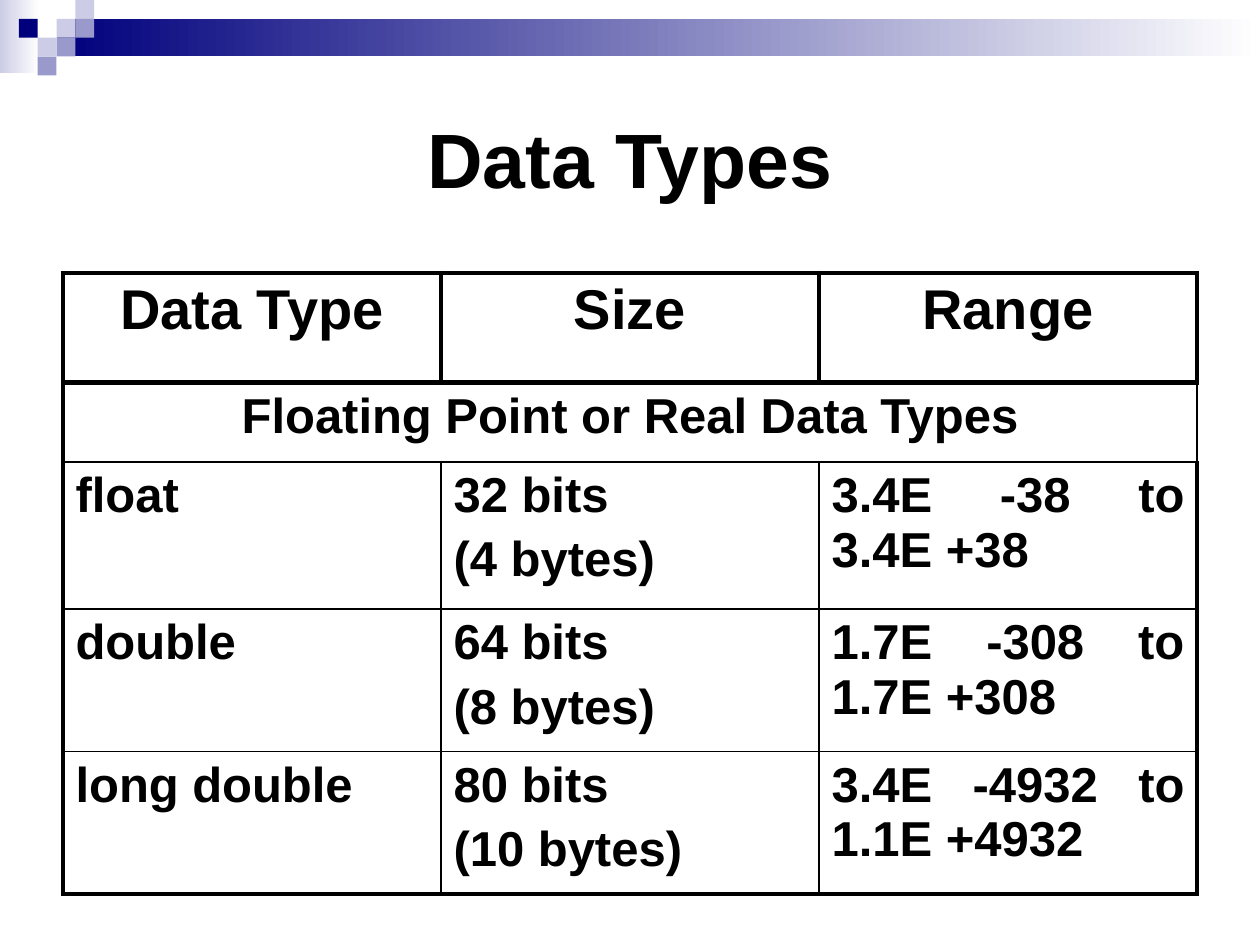
from lxml import etree
from pptx import Presentation
from pptx.dml.color import RGBColor
from pptx.enum import shapes, text
from pptx.oxml.ns import qn
from pptx.util import Cm, Pt

COLORS = {"navy": "00007D", "violet": "9999CC", "lilac": "CCCCE6",
          "white": "FFFFFF", "black": "000000"}


def style_paragraph(paragraph, size, align):
    """Align a paragraph and set its runs in bold black Arial."""
    paragraph.alignment = align
    for span in paragraph.runs:
        span.font.name = "Arial"
        span.font.size = Pt(size)
        span.font.bold = True
        span.font.color.rgb = RGBColor.from_string(COLORS["black"])


def set_border(cell, side, width):
    """Draw one side (L, R, T or B) of a cell as a solid black line."""
    line = etree.SubElement(cell._tc.get_or_add_tcPr(), qn(f"a:ln{side}"),
                            w=str(Pt(width)), cmpd="sng")
    fill = etree.SubElement(line, qn("a:solidFill"))
    etree.SubElement(fill, qn("a:srgbClr"), val=COLORS["black"])


deck = Presentation()
deck.slide_width, deck.slide_height = Cm(25.4), Cm(19.05)
page = deck.slides.add_slide(deck.slide_layouts[6])

# Header band: left, top, width, height, colours (two make a gradient)
SQUARE = 0.38
bands = [(0, 0, 0.79, 1.47, ("lilac", "white")),
         (1.14, SQUARE, 24.26, 2 * SQUARE, ("navy", "white"))]
squares = [(3, 1, "lilac"), (4, 0, "lilac"), (4, 1, "violet"), (2, 2, "lilac"),
           (1, 1, "navy"), (3, 2, "violet"), (2, 3, "violet")]
bands += [(column * SQUARE, row * SQUARE, SQUARE, SQUARE, (color,))
          for column, row, color in squares]
for left, top, width, height, colors in bands:
    band = page.shapes.add_shape(shapes.MSO_SHAPE.RECTANGLE, Cm(left), Cm(top),
                                 Cm(width), Cm(height))
    band.shadow.inherit = False
    band.line.fill.background()
    if len(colors) == 1:
        band.fill.solid()
        band.fill.fore_color.rgb = RGBColor.from_string(COLORS[colors[0]])
    else:
        band.fill.gradient()
        band.fill.gradient_angle = 0
        for stop, color in zip(band.fill.gradient_stops, colors):
            stop.color.rgb = RGBColor.from_string(COLORS[color])

title = page.shapes.add_textbox(Cm(1.27), Cm(1.27), Cm(22.86), Cm(3.81))
title.text_frame.word_wrap = True
title.text_frame.vertical_anchor = text.MSO_ANCHOR.MIDDLE
title.text_frame.text = "Data Types"
style_paragraph(title.text_frame.paragraphs[0], 44, text.PP_ALIGN.CENTER)

# Table of data types
rows = [("Data Type", "Size", "Range"),
        ("Floating Point or Real Data Types", "", ""),
        ("float", "32 bits\n(4 bytes)", "3.4E -38 to 3.4E +38"),
        ("double", "64 bits\n(8 bytes)", "1.7E -308 to 1.7E +308"),
        ("long double", "80 bits\n(10 bytes)", "3.4E -4932 to 1.1E +4932")]
heights = [2.21, 1.6, 2.97, 2.87, 2.87]
THIN, OUTER, THICK = 1, 2.25, 3

table = page.shapes.add_table(len(rows), 3, Cm(1.27), Cm(5.5), Cm(22.86),
                              Cm(sum(heights))).table
table.first_row = table.horz_banding = False
for column in table.columns:
    column.width = Cm(7.62)
table.cell(1, 0).merge(table.cell(1, 2))

for r, (labels, height) in enumerate(zip(rows, heights)):
    table.rows[r].height = Cm(height)
    align = text.PP_ALIGN.CENTER if r < 2 else text.PP_ALIGN.JUSTIFY
    size = 32 if r == 0 else 28
    for c, label in enumerate(labels):
        cell = table.cell(r, c)
        widths = {"L": OUTER if c == 0 else THIN,
                  "R": OUTER if c == 2 else THIN,
                  "T": THICK if r == 1 else THIN,
                  "B": OUTER if r == len(rows) - 1 else THIN}
        for side, width in widths.items():
            set_border(cell, side, THICK if r == 0 else width)
        cell.fill.solid()
        cell.fill.fore_color.rgb = RGBColor.from_string(COLORS["white"])
        if cell.is_spanned:
            continue
        cell.text_frame.text = label
        for number, paragraph in enumerate(cell.text_frame.paragraphs):
            style_paragraph(paragraph, size, align)
            paragraph.space_before = Pt(5.6 if number else 0)

deck.save("out.pptx")
